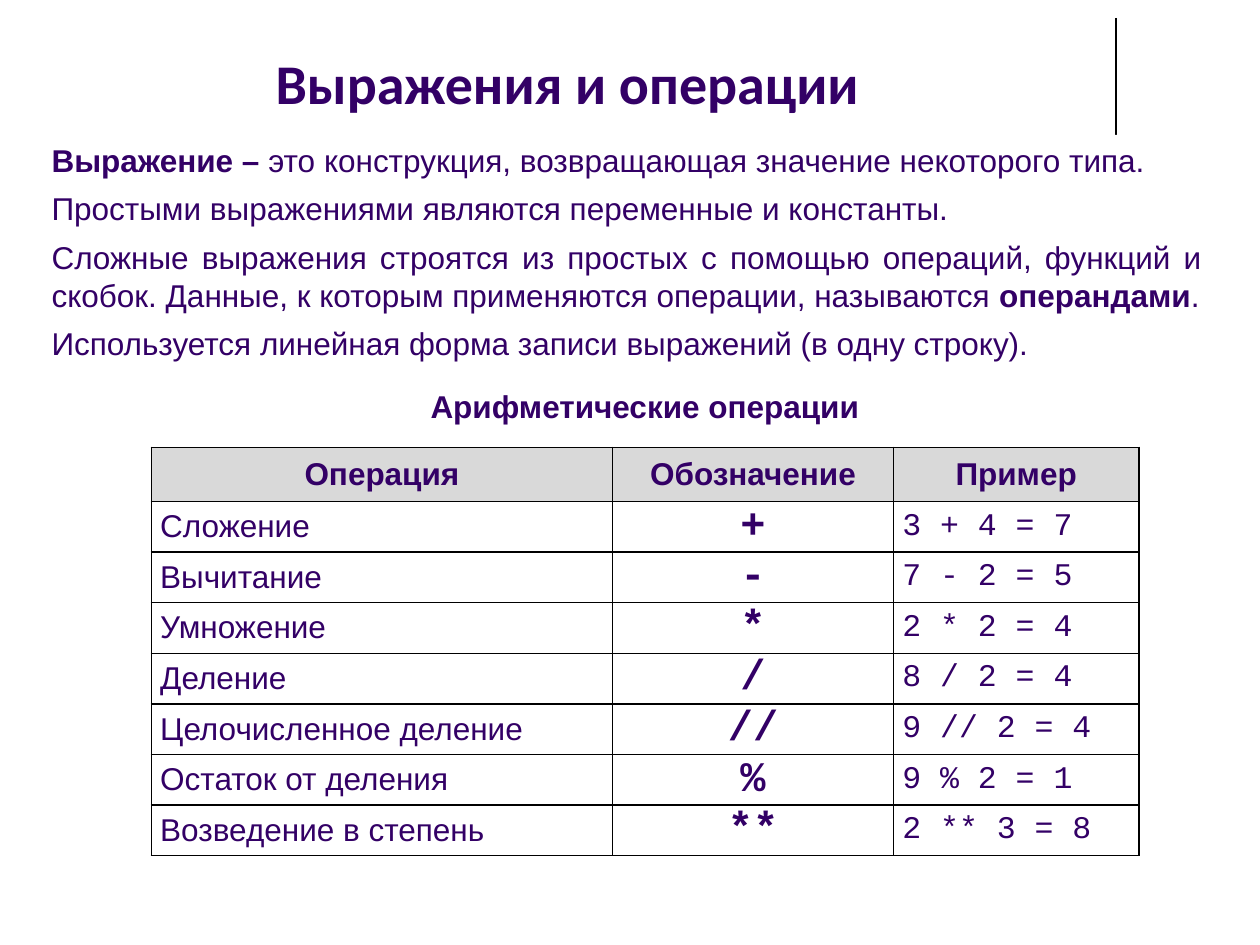
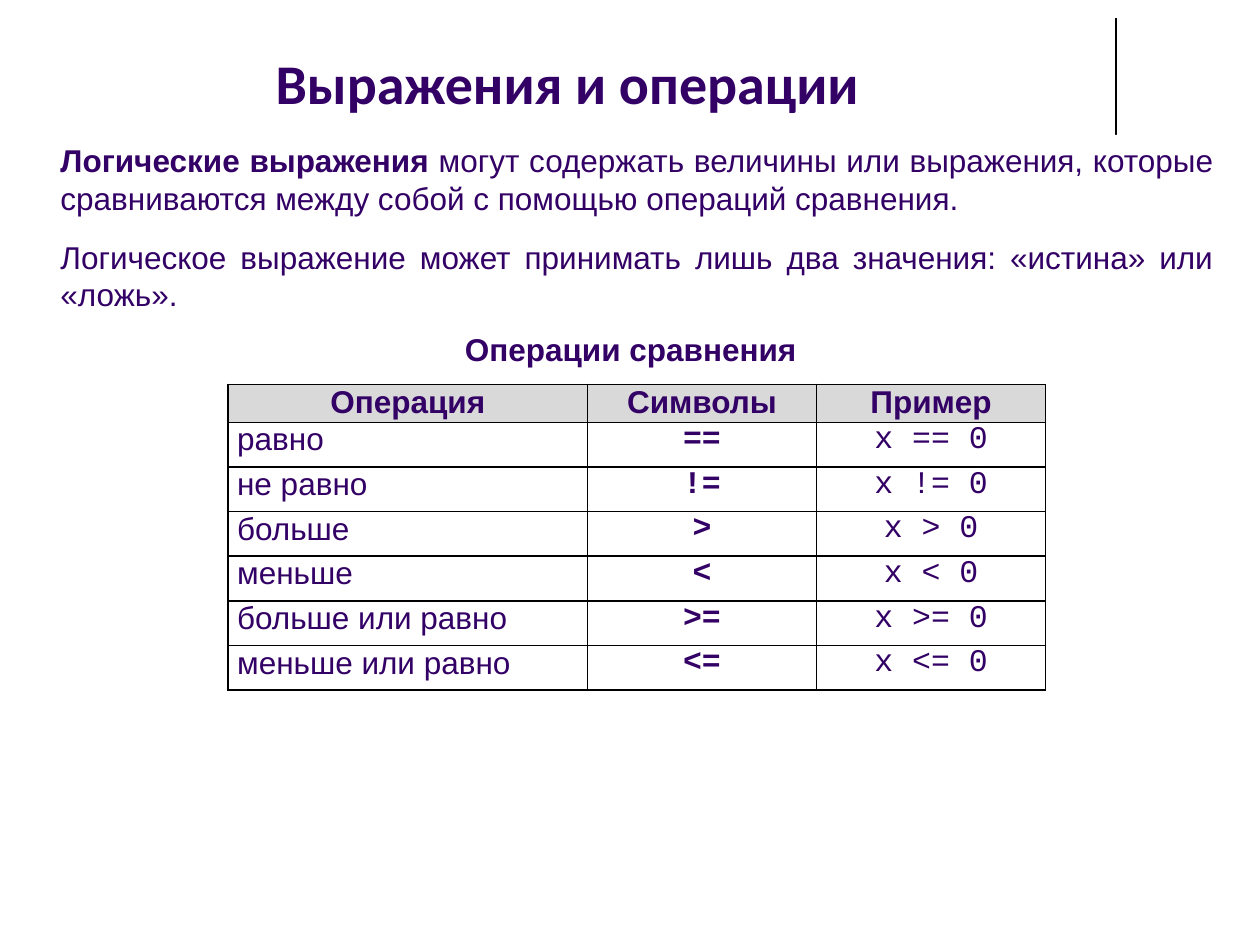
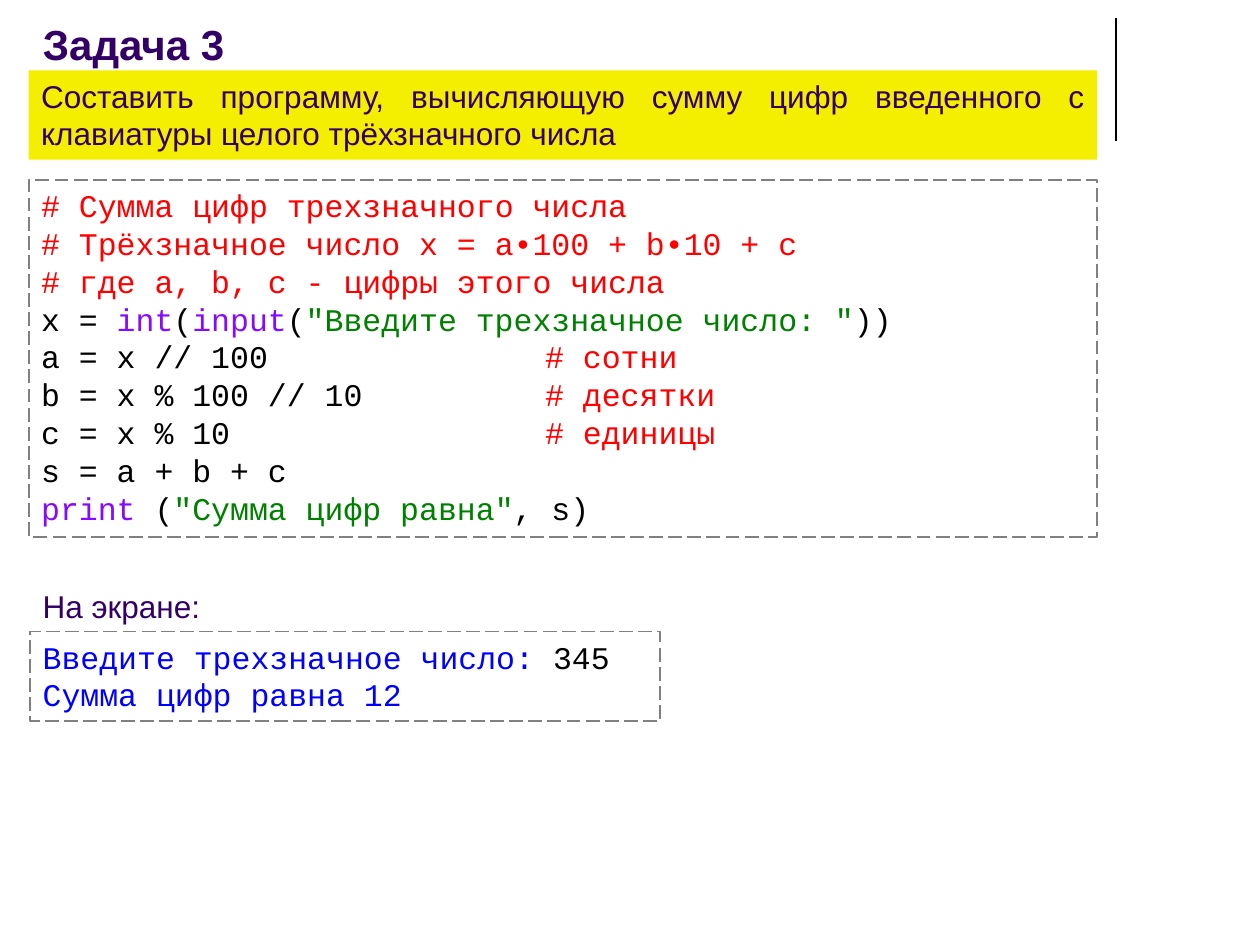
from pptx import Presentation
from pptx.dml.color import RGBColor
from pptx.enum.dml import MSO_LINE_DASH_STYLE as Dash
from pptx.enum.shapes import MSO_CONNECTOR as Connector, MSO_SHAPE as Shape
from pptx.enum.text import MSO_ANCHOR as Anchor, MSO_AUTO_SIZE as AutoSize, PP_ALIGN as Align
from pptx.oxml.ns import qn
from pptx.util import Cm, Pt
from lxml.etree import SubElement

INK, BLACK, WHITE = "330066", "000000", "FFFFFF"
YELLOW, GREY, HEADER_GREY = "F4EE00", "808080", "D9D9D9"
COMMENT, BUILTIN, STRING, OUTPUT = "FF0000", "850AFF", "008000", "0000FF"
SANS, MONO, TITLE_FONT = "Arial", "Courier New", "Calibri"
COMMENT_TAB = Cm(10.16)


def rgb(hex_colour):
    return RGBColor.from_string(hex_colour)


def format_font(font, name=SANS, size=18, colour=INK, bold=False):
    font.name, font.size, font.bold = name, Pt(size), bold
    font.color.rgb = rgb(colour)


def write_paragraphs(frame, paragraphs, align=Align.LEFT, space_after=0, **base):
    """Each paragraph is a list of (text, font changes) pairs."""
    for index, spans in enumerate(paragraphs):
        para = frame.add_paragraph() if index else frame.paragraphs[0]
        para.alignment, para.space_after = align, Pt(space_after)
        for text, changes in spans:
            span = para.add_run()
            span.text = text
            format_font(span.font, **{**base, **changes})


def set_tab_stop(para, position):
    tabs = SubElement(para._p.get_or_add_pPr(), qn("a:tabLst"))
    SubElement(tabs, qn("a:tab"), pos=str(position), algn="l")


def add_box(shapes, place, paragraphs, fill=None, dashed=False, **text_style):
    """Place is left, top, width and height in centimetres."""
    left, top, width, height = map(Cm, place)
    if fill or dashed:
        box = shapes.add_shape(Shape.RECTANGLE, left, top, width, height)
        box.shadow.inherit = False
        box.line.fill.background()
    else:
        box = shapes.add_textbox(left, top, width, height)
    if fill:
        box.fill.solid()
        box.fill.fore_color.rgb = rgb(fill)
    else:
        box.fill.background()
    if dashed:
        box.line.color.rgb = rgb(GREY)
        box.line.width, box.line.dash_style = Pt(1), Dash.LONG_DASH
    frame = box.text_frame
    frame.word_wrap, frame.vertical_anchor = True, Anchor.TOP
    frame.auto_size = AutoSize.SHAPE_TO_FIT_TEXT
    write_paragraphs(frame, paragraphs, **text_style)
    return box


def add_caption(page, place, text):
    add_box(page.shapes, place, [[(text, {})]], align=Align.CENTER, bold=True)


def add_page(deck, title, place=(1.09, 0.53, 20.7, 1.93), align=Align.CENTER,
             name=TITLE_FONT, size=32):
    page = deck.slides.add_slide(deck.slide_layouts[5])
    heading = page.shapes.title
    heading.left, heading.top, heading.width, heading.height = map(Cm, place)
    frame = heading.text_frame
    frame.text = title
    frame.word_wrap, frame.vertical_anchor = True, Anchor.BOTTOM
    frame.auto_size = AutoSize.NONE
    para = frame.paragraphs[0]
    para.alignment = align
    format_font(para.runs[0].font, name, size, bold=True)
    return page


def add_layout_rule(page):
    """Draw the vertical rule and move it to the layout that all pages share."""
    rule = page.shapes.add_connector(Connector.STRAIGHT, Cm(22.5), Cm(0.36), Cm(22.5), Cm(2.84))
    rule.line.color.rgb, rule.line.width = rgb(BLACK), Pt(0.75)
    SubElement(rule.element.find(qn("p:spPr")), qn("a:effectLst"))
    page.slide_layout.shapes.element.append(rule.element)


def add_cell_borders(cell):
    properties = cell._tc.get_or_add_tcPr()
    for side in ("lnL", "lnR", "lnT", "lnB"):
        line = SubElement(properties, qn(f"a:{side}"), w=str(Pt(1)))
        SubElement(SubElement(line, qn("a:solidFill")), qn("a:srgbClr"), val=BLACK)


def add_operations_table(page, origin, widths, heights, rows, column_styles, anchor):
    """Heights are those of the header and of every other row."""
    row_heights = [heights[0]] + [heights[1]] * (len(rows) - 1)
    table = page.shapes.add_table(len(rows), len(widths), *map(Cm, origin),
                                  Cm(sum(widths)), Cm(sum(row_heights))).table
    table.horz_banding = False
    for column, width in zip(table.columns, widths):
        column.width = Cm(width)
    for row_index, (row, height) in enumerate(zip(rows, row_heights)):
        table.rows[row_index].height = Cm(height)
        for column_index, text in enumerate(row):
            cell = table.cell(row_index, column_index)
            cell.margin_left = cell.margin_right = Cm(0.18)
            cell.margin_top = cell.margin_bottom = 0
            cell.vertical_anchor = anchor
            add_cell_borders(cell)
            if row_index == 0:
                cell.fill.solid()
                cell.fill.fore_color.rgb = rgb(HEADER_GREY)
                style = dict(align=Align.CENTER, bold=True)
            else:
                cell.fill.background()
                style = column_styles[column_index]
            write_paragraphs(cell.text_frame, [[(text, {})]], **style)


def build_arithmetic(deck):
    page = add_page(deck, "Выражения и операции")
    add_layout_rule(page)
    bold = dict(bold=True)
    add_box(page.shapes, (0.79, 2.72, 23.7, 4.75), [
        [("Выражение – ", bold),
         ("это конструкция, возвращающая значение некоторого типа.", {})],
        [("Простыми выражениями являются переменные и константы.", {})],
        [("Сложные выражения строятся из простых с помощью операций, функций и скобок. "
          "Данные, к которым применяются операции, называются ", {}),
         ("операндами", bold), (".", {})],
        [("Используется линейная форма записи выражений (в одну строку).", {})],
    ], fill=WHITE, align=Align.JUSTIFY, space_after=6)
    add_operations_table(page, (3.05, 9.02), (9.3, 5.66, 4.95), (1.09, 1.02), [
        ("Операция", "Обозначение", "Пример"),
        ("Сложение", "+", "3 + 4 = 7"),
        ("Вычитание", "-", "7 - 2 = 5"),
        ("Умножение", "*", "2 * 2 = 4"),
        ("Деление", "/", "8 / 2 = 4"),
        ("Целочисленное деление", "//", "9 // 2 = 4"),
        ("Остаток от деления", "%", "9 % 2 = 1"),
        ("Возведение в степень", "**", "2 ** 3 = 8"),
    ], [
        dict(align=Align.LEFT),
        dict(align=Align.CENTER, name=MONO, size=24, bold=True),
        dict(align=Align.JUSTIFY, name=MONO),
    ], Anchor.MIDDLE)
    add_caption(page, (6.6, 7.67, 12.8, 1.02), "Арифметические операции")


def build_comparison(deck):
    page = add_page(deck, "Выражения и операции")
    add_box(page.shapes, (0.97, 2.72, 23.75, 3.76), [
        [("Логические выражения ", dict(bold=True)),
         ("могут содержать величины или выражения, которые сравниваются между собой "
          "с помощью операций сравнения.", {})],
        [("Логическое выражение может принимать лишь два значения: "
          "«истина» или «ложь».", {})],
    ], fill=WHITE, align=Align.JUSTIFY, space_after=12)
    comparisons = [("равно", "=="), ("не равно", "!="), ("больше", ">"), ("меньше", "<"),
                   ("больше или равно", ">="), ("меньше или равно", "<=")]
    rows = [("Операция", "Символы", "Пример")]
    rows += [(name, sign, f"x {sign} 0") for name, sign in comparisons]
    add_operations_table(page, (4.6, 7.75), (7.24, 4.62, 4.62), (0.76, 0.9), rows, [
        dict(align=Align.JUSTIFY),
        dict(align=Align.CENTER, name=MONO, bold=True),
        dict(align=Align.CENTER, name=MONO),
    ], Anchor.TOP)
    add_caption(page, (1.07, 6.53, 23.29, 1.02), "Операции сравнения")


def build_task(deck):
    page = add_page(deck, "Задача 3", (0.61, 0.33, 20.96, 1.19), Align.LEFT, SANS, 24)
    add_box(page.shapes, (0.58, 1.42, 21.54, 1.8), [
        [("Составить программу, вычисляющую сумму цифр введенного с клавиатуры "
          "целого трёхзначного числа", {})],
    ], fill=YELLOW, align=Align.JUSTIFY)

    comment, builtin, string = (dict(colour=colour) for colour in (COMMENT, BUILTIN, STRING))
    code = add_box(page.shapes, (0.58, 3.63, 21.54, 7.19), [
        [("# Сумма цифр трехзначного числа", comment)],
        [("# Трёхзначное число x = a•100 + b•10 + c", comment)],
        [("# где а, b, с - цифры этого числа", comment)],
        [("x = ", {}), ("int", builtin), ("(", {}), ("input", builtin), ("(", {}),
         ('"Введите трехзначное число: "', string), ("))", {})],
        [("a = x // 100\t", {}), ("# сотни", comment)],
        [("b = x % 100 // 10\t", {}), ("# десятки", comment)],
        [("c = x % 10\t", {}), ("# единицы", comment)],
        [("s = a + b + c", {})],
        [("print", builtin), (" (", {}), ('"Сумма цифр равна"', string), (", s)", {})],
    ], dashed=True, name=MONO, colour=BLACK)
    for para in code.text_frame.paragraphs:
        if "\t" in para.text:
            set_tab_stop(para, COMMENT_TAB)

    screen = page.shapes.add_group_shape()
    add_box(screen.shapes, (0.61, 12.73, 12.7, 1.8), [
        [("Введите трехзначное число: ", {}), ("345", dict(colour=BLACK))],
        [("Сумма цифр равна 12", {})],
    ], dashed=True, name=MONO, colour=OUTPUT)
    add_box(screen.shapes, (0.61, 11.71, 3.76, 1.02), [[("На экране:", {})]])


def main():
    deck = Presentation()
    deck.slide_width, deck.slide_height = Cm(25.4), Cm(19.05)
    build_arithmetic(deck)
    build_comparison(deck)
    build_task(deck)
    deck.save("out.pptx")


if __name__ == "__main__":
    main()
